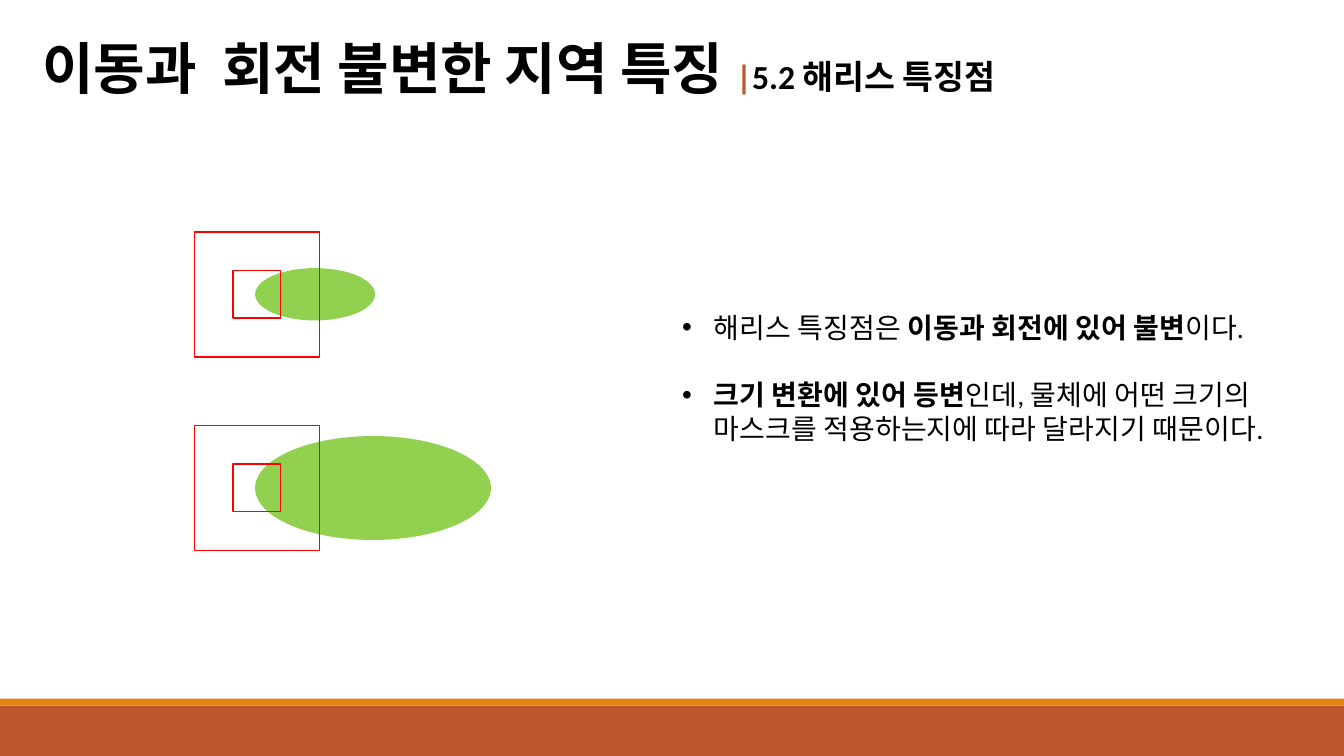
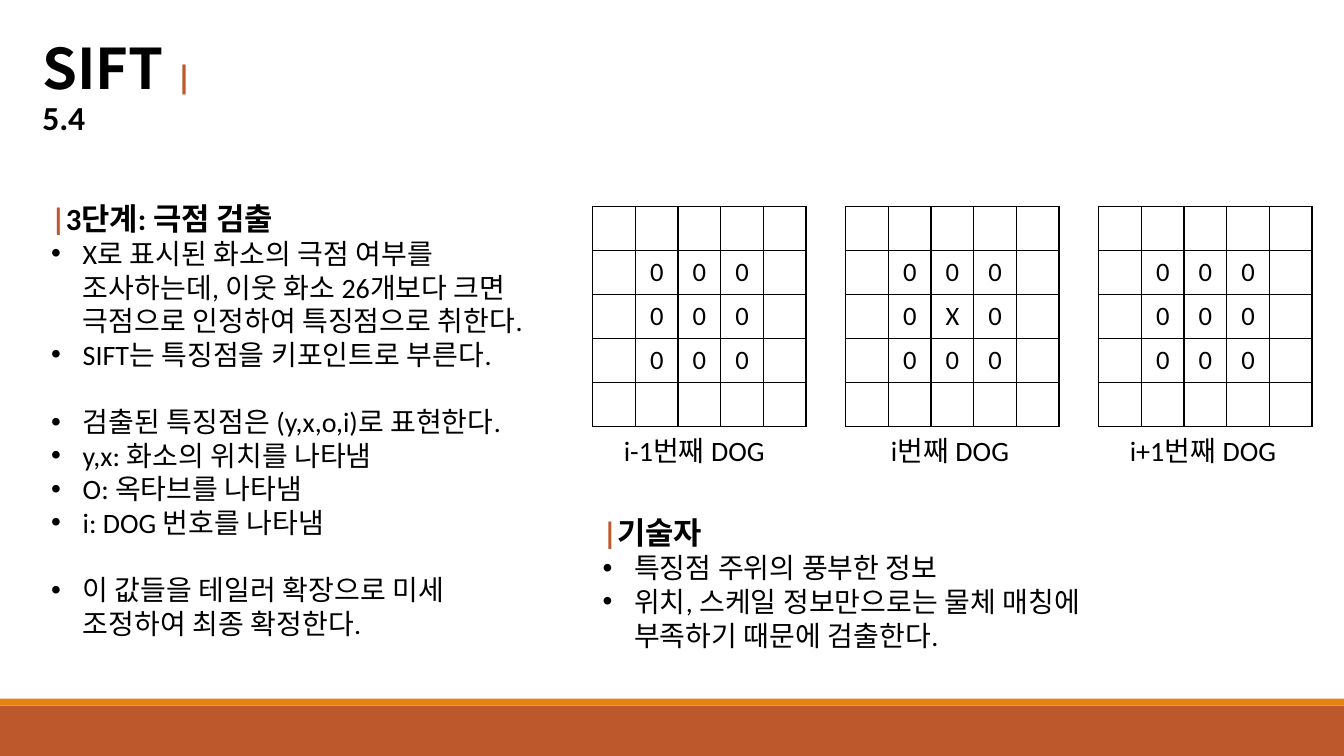
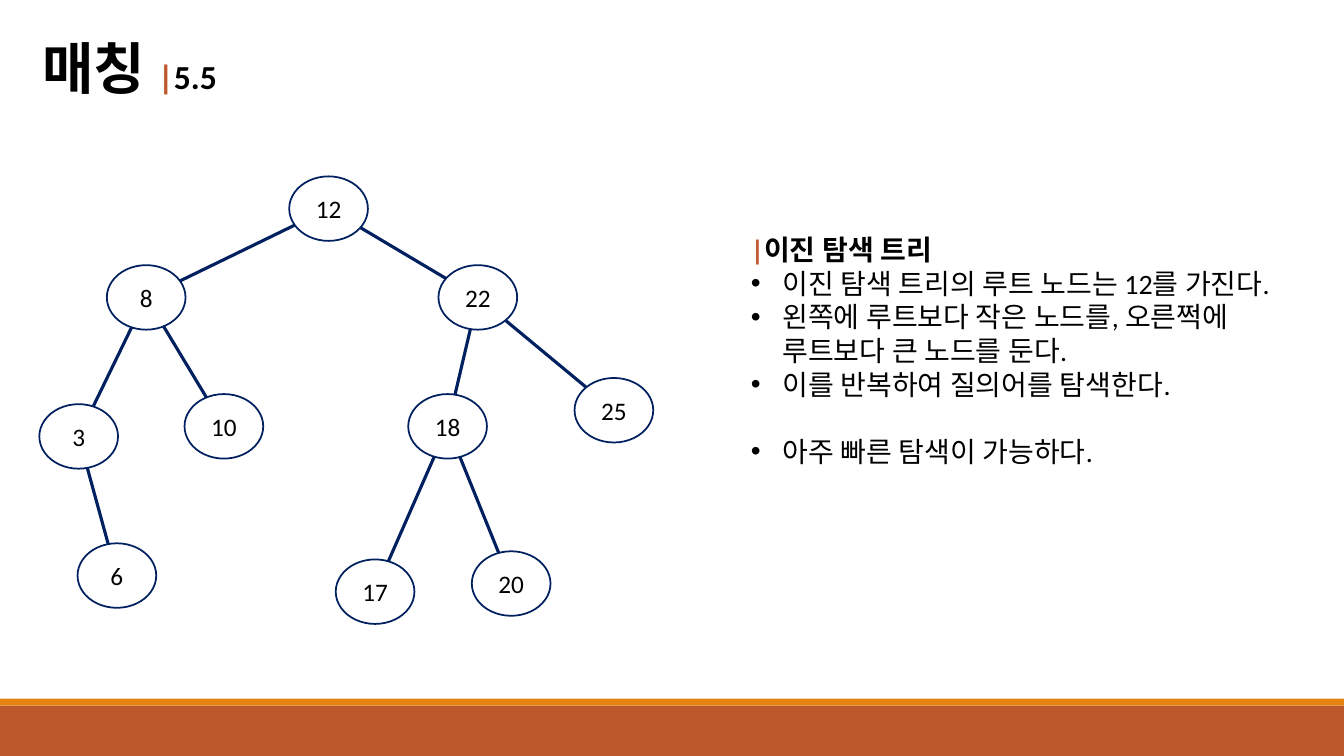
"""Build three lecture slides on local image features."""
from dataclasses import dataclass

import pptx
import pptx.util
import pptx.dml.color
import pptx.enum.shapes
import pptx.enum.text
import pptx.oxml.ns
from lxml import etree

Pt = pptx.util.Pt
RGB = pptx.dml.color.RGBColor.from_string
Kind = pptx.enum.shapes.MSO_SHAPE
Align = pptx.enum.text.PP_ALIGN
Anchor = pptx.enum.text.MSO_ANCHOR
Fit = pptx.enum.text.MSO_AUTO_SIZE
qn = pptx.oxml.ns.qn


@dataclass(frozen=True)
class Theme:
    ink: str = "000000"
    paper: str = "FFFFFF"
    rust: str = "BD582C"
    amber: str = "E48312"
    green: str = "92D050"
    red: str = "FF0000"
    navy: str = "002060"
    face: str = "Calibri"
    bold: str = "Noto Sans CJK KR"
    title: int = 40
    sub: int = 24
    head: int = 22
    body: int = 20
    cell: int = 19
    node: int = 18
    hang: float = 22.5
    gap: int = 24


LOOK = Theme()
WIDE, HIGH = 960, 540
BANDS = [(504, 36, LOOK.rust), (499, 5, LOOK.amber)]

TITLES = [
    {"main": "이동과  회전 불변한 지역 특징 ", "sub": "5.2 해리스 특징점", "wide": 783.4, "split": False},
    {"main": "SIFT ", "sub": "5.4", "wide": 151.9, "split": True},
    {"main": "매칭 ", "sub": "5.5", "wide": 157.7, "split": False},
]

HARRIS = {"box": (480.2, 218.2, 437, 152.6), "items": [
    "해리스 특징점은 *이동과 회전에 있어 불변*이다.",
    "+*크기 변환에 있어 등변*인데, 물체에 어떤 크기의 마스크를 적용하는지에 따라 달라지기 때문이다.",
]}
STEP = {"box": (29.5, 139, 367.2, 349.2), "head": "3단계: 극점 검출", "size": LOOK.head, "items": [
    "X로 표시된 화소의 극점 여부를 조사하는데, 이웃 화소 26개보다 크면 극점으로 인정하여 특징점으로 취한다.",
    "SIFT는 특징점을 키포인트로 부른다.",
    "+검출된 특징점은 (y,x,o,i)로 표현한다.",
    "y,x: 화소의 위치를 나타냄",
    "O: 옥타브를 나타냄",
    "i: DOG 번호를 나타냄",
    "+이 값들을 테일러 확장으로 미세 조정하여 최종 확정한다.",
]}
DESC = {"box": (423.4, 363.6, 367.2, 106.6), "head": "기술자", "size": LOOK.head, "items": [
    "특징점 주위의 풍부한 정보",
    "위치, 스케일 정보만으로는 물체 매칭에 부족하기 때문에 검출한다.",
]}
SEARCH = {"box": (529.2, 162.7, 384.5, 200.9), "head": "이진 탐색 트리", "size": LOOK.body, "items": [
    "이진 탐색 트리의 루트 노드는 12를 가진다.",
    "왼쪽에 루트보다 작은 노드를, 오른쩍에 루트보다 큰 노드를 둔다.",
    "이를 반복하여 질의어를 탐색한다.",
    "+아주 빠른 탐색이 가능하다.",
]}

MASK_X, MASKS = 183.6, (89.3, 33.8)
BLOB_X, BLOBS = 182.2, [(210.2, 85.7, 37.4), (348.6, 168.5, 74.2)]

GRID_X, GRID_Y, PITCH, COL, ROW = 423.4, 147.6, 180.72, 30.5, 31.45
GRIDS = [("i-1번째 DOG", 438.5, "0"), ("i번째 DOG", 629.3, "X"), ("i+1번째 DOG", 799.9, "0")]

NODE_W, NODE_H = 56.2, 46.1
NODES = {
    12: (206.6, 126), 8: (76.3, 189.4), 3: (28.1, 288.7), 10: (131.8, 281.5),
    6: (55.4, 388.1), 22: (313.2, 189.4), 18: (291.6, 281.5), 25: (410.4, 270),
    17: (239.8, 399.6), 20: (337, 393.8),
}
EDGES = [(12, 22), (12, 8), (8, 3), (8, 10), (3, 6), (22, 18), (22, 25), (18, 20), (18, 17)]


def put(thing, vals):
    for name, val in vals.items():
        setattr(thing, name, val)


def child(node, tag, **vals):
    return etree.SubElement(node, qn(tag), vals)


def write(para, text, size, tint=LOOK.ink, bold=False, face=LOOK.face):
    run = para.add_run()
    run.text = text
    put(run.font, {"size": Pt(size), "bold": bold, "name": face})
    run.font.color.rgb = RGB(tint)
    child(run._r.get_or_add_rPr(), "a:ea", typeface=face)


def shape(slide, kind, box, fill=None, line=None):
    item = slide.shapes.add_shape(kind, *map(Pt, box))
    item.shadow.inherit = False
    if fill:
        item.fill.solid()
        item.fill.fore_color.rgb = RGB(fill)
    else:
        item.fill.background()
    if line:
        item.line.color.rgb = RGB(line)
        item.line.width = Pt(1.25)
    else:
        item.line.fill.background()
    return item


def frame(slide, box):
    text = slide.shapes.add_textbox(*map(Pt, box)).text_frame
    put(text, {"word_wrap": True, "auto_size": Fit.NONE})
    return text


def bands(slide, layout):
    for top, high, tint in BANDS:
        band = shape(slide, Kind.RECTANGLE, (0, top, WIDE, high), tint)
        layout.shapes._spTree.append(band._element)


def title(slide, data):
    item = slide.shapes.title
    place = {"left": 23, "top": 25.9, "width": data["wide"], "height": 55.4}
    put(item, {name: Pt(val) for name, val in place.items()})
    text = item.text_frame
    put(text, {"word_wrap": True, "auto_size": Fit.NONE, "vertical_anchor": Anchor.TOP})
    para = text.paragraphs[0]
    put(para, {"alignment": Align.LEFT, "line_spacing": 0.9, "space_before": Pt(0)})
    write(para, data["main"], LOOK.title, bold=True, face=LOOK.bold)
    write(para, "|", LOOK.sub, LOOK.rust, True)
    if data["split"]:
        para.add_line_break()
    write(para, data["sub"], LOOK.sub, bold=True)


def notes(slide, data):
    text = frame(slide, data["box"])
    para = text.paragraphs[0]
    fresh = True
    if "head" in data:
        write(para, "|", data["size"], LOOK.rust, True)
        write(para, data["head"], data["size"], bold=True)
        fresh = False
    for item in data["items"]:
        if not fresh:
            para = text.add_paragraph()
        fresh = False
        prop = para._p.get_or_add_pPr()
        prop.set("marL", str(Pt(LOOK.hang)))
        prop.set("indent", str(-Pt(LOOK.hang)))
        child(prop, "a:buFont", typeface="Arial")
        child(prop, "a:buChar", char="•")
        if item.startswith("+"):
            para.space_before = Pt(LOOK.gap)
        for turn, part in enumerate(item.lstrip("+").split("*")):
            if part:
                write(para, part, LOOK.body, bold=turn % 2 == 1)


def border(cell):
    prop = cell._tc.get_or_add_tcPr()
    for spot, side in enumerate(("L", "R", "T", "B")):
        line = etree.Element(qn(f"a:ln{side}"), w=str(Pt(1)))
        child(child(line, "a:solidFill"), "a:srgbClr", val=LOOK.ink)
        prop.insert(spot, line)


def grid(slide, left, core):
    table = slide.shapes.add_table(5, 5, *map(Pt, (left, GRID_Y, 5 * COL, 5 * ROW))).table
    put(table, {"first_row": False, "horz_banding": False})
    for part in table.columns:
        part.width = Pt(COL)
    for part in table.rows:
        part.height = Pt(ROW)
    for row in range(5):
        for col in range(5):
            cell = table.cell(row, col)
            cell.fill.solid()
            cell.fill.fore_color.rgb = RGB(LOOK.paper)
            border(cell)
            if 0 < row < 4 and 0 < col < 4:
                cell.vertical_anchor = Anchor.MIDDLE
                para = cell.text_frame.paragraphs[0]
                para.alignment = Align.CENTER
                write(para, core if row == col == 2 else "0", LOOK.cell)


def harris(slide):
    notes(slide, HARRIS)
    for mid, wide, high in BLOBS:
        shape(slide, Kind.OVAL, (BLOB_X, mid - high / 2, wide, high), LOOK.green)
        for side in MASKS:
            box = (MASK_X - side / 2, mid - side / 2, side, side)
            shape(slide, Kind.RECTANGLE, box, line=LOOK.red)


def sift(slide):
    notes(slide, STEP)
    for turn, (name, left, core) in enumerate(GRIDS):
        grid(slide, GRID_X + turn * PITCH, core)
        text = frame(slide, (left, 306, 137.5, 31.7))
        write(text.paragraphs[0], name, LOOK.body)
    notes(slide, DESC)


def tree(slide):
    for pair in EDGES:
        ends = [val for key in pair
                for val in (NODES[key][0] + NODE_W / 2, NODES[key][1] + NODE_H / 2)]
        line = slide.shapes.add_connector(
            pptx.enum.shapes.MSO_CONNECTOR.STRAIGHT, *map(Pt, ends))
        line.line.color.rgb = RGB(LOOK.navy)
        line.line.width = Pt(2.25)
        child(line._element.spPr, "a:effectLst")
    notes(slide, SEARCH)
    for key, spot in NODES.items():
        node = shape(slide, Kind.OVAL, (*spot, NODE_W, NODE_H), LOOK.paper, LOOK.navy)
        node.text_frame.vertical_anchor = Anchor.MIDDLE
        para = node.text_frame.paragraphs[0]
        para.alignment = Align.CENTER
        write(para, str(key), LOOK.node)


def main():
    deck = pptx.Presentation()
    put(deck, {"slide_width": Pt(WIDE), "slide_height": Pt(HIGH)})
    layout = deck.slide_layouts[5]
    for turn, (data, draw) in enumerate(zip(TITLES, (harris, sift, tree))):
        slide = deck.slides.add_slide(layout)
        if turn == 0:
            bands(slide, layout)
        title(slide, data)
        draw(slide)
    deck.save("out.pptx")


if __name__ == "__main__":
    main()
